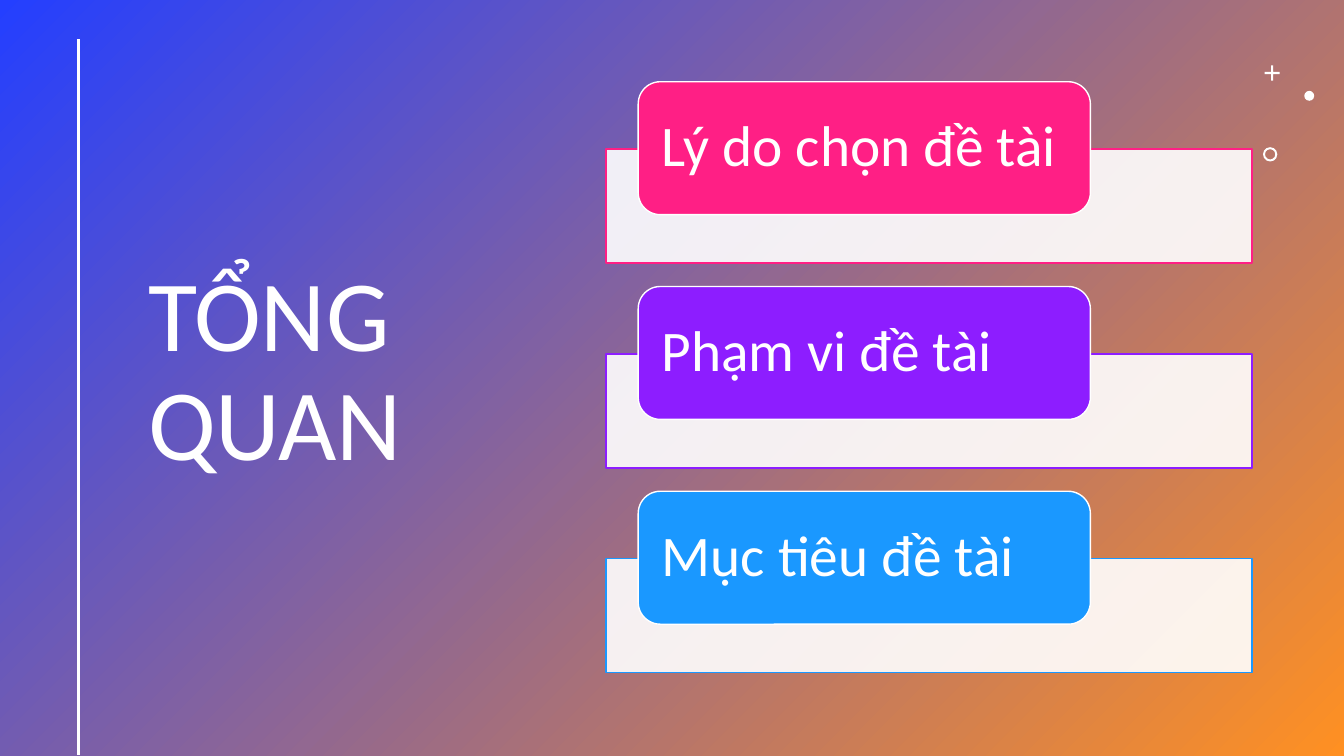
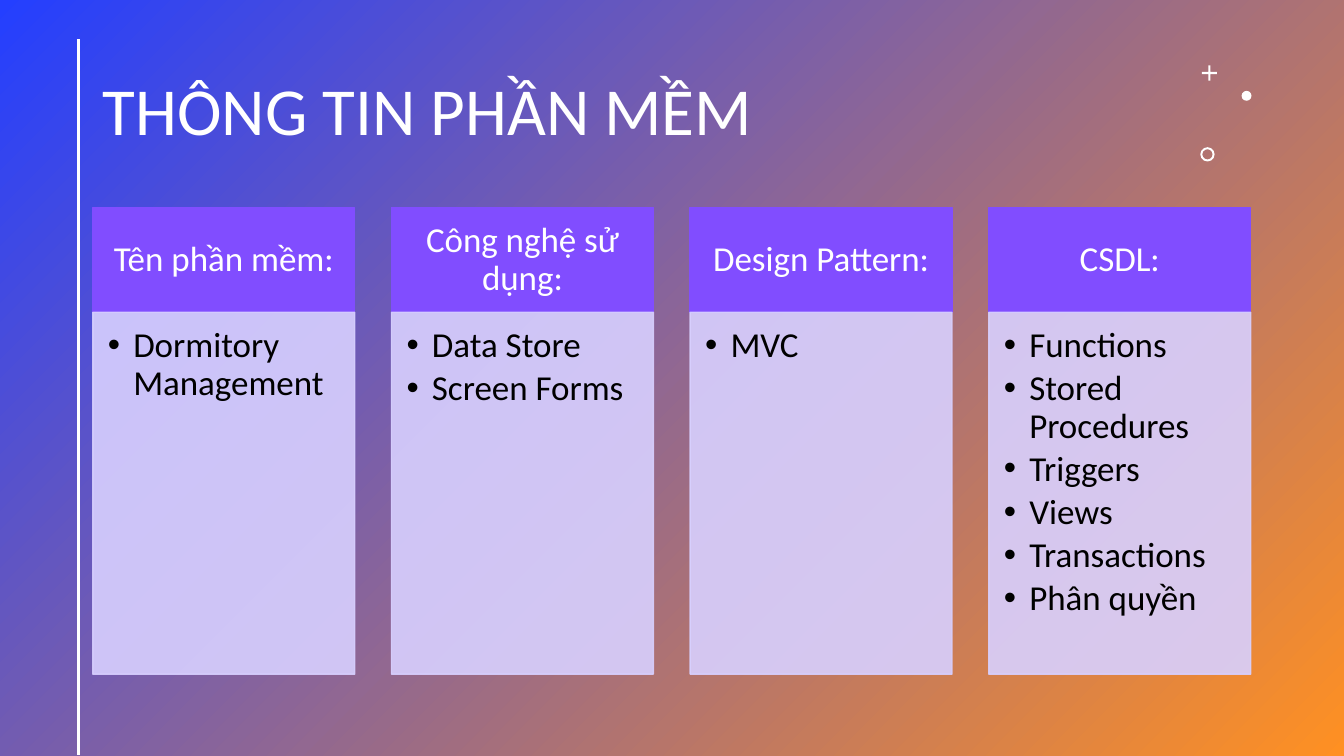
import pptx
import pptx.dml.color
import pptx.enum.shapes
import pptx.enum.text
import pptx.oxml.ns
import pptx.util
from lxml import etree

Cm = pptx.util.Cm
Pt = pptx.util.Pt
qn = pptx.oxml.ns.qn
MSO_SHAPE = pptx.enum.shapes.MSO_SHAPE
PP_ALIGN = pptx.enum.text.PP_ALIGN
MSO_ANCHOR = pptx.enum.text.MSO_ANCHOR

FONT = "Calibri"
WHITE = "FFFFFF"
BLACK = "000000"
BLUE = "243FFF"
ORANGE = "FF9022"
VIOLET = "814DFF"
LILAC = "D8D0FF"

TOPICS = [
    ("Lý do chọn đề tài", "FF1F85"),
    ("Phạm vi đề tài", "8D1DFF"),
    ("Mục tiêu đề tài", "1A98FF"),
]
COLUMNS = [
    ("Tên phần mềm:", ["Dormitory Management"]),
    ("Công nghệ sử dụng:", ["Data Store", "Screen Forms"]),
    ("Design Pattern:", ["MVC"]),
    ("CSDL:", ["Functions", "Stored Procedures", "Triggers", "Views",
               "Transactions", "Phân quyền"]),
]


def rgb(value):
    return pptx.dml.color.RGBColor.from_string(value)


def fade(parent, percent=90):
    color = parent.find(qn("a:solidFill"))[0]
    etree.SubElement(color, qn("a:alpha"), val=str(percent * 1000))


def add_box(s, kind, box, fill, line=None):
    sp = s.shapes.add_shape(kind, *map(Cm, box))
    sp.shadow.inherit = False
    sp.fill.solid()
    sp.fill.fore_color.rgb = rgb(fill)
    if line:
        sp.line.color.rgb = rgb(line)
        sp.line.width = Pt(1)
    else:
        sp.line.fill.background()
    return sp


def set_frame(tf, anchor, insets):
    tf.word_wrap = True
    tf.auto_size = pptx.enum.text.MSO_AUTO_SIZE.NONE
    tf.vertical_anchor = anchor
    tf.margin_left, tf.margin_top, tf.margin_right, tf.margin_bottom = map(Cm, insets)


def add_text(p, text, size, color, align=PP_ALIGN.LEFT):
    p.alignment = align
    p.line_spacing = 0.9
    r = p.add_run()
    r.text = text
    r.font.name = FONT
    r.font.size = Pt(size)
    r.font.color.rgb = rgb(color)


def add_bullet(p):
    pPr = p._p.get_or_add_pPr()
    pPr.set("marL", str(Cm(0.64)))
    pPr.set("indent", str(-Cm(0.64)))
    etree.SubElement(pPr, qn("a:buFont"), typeface="Arial")
    etree.SubElement(pPr, qn("a:buChar"), char="•")


def set_background(master):
    fill = master.background.fill
    fill.gradient()
    fill.gradient_angle = 315
    for stop, color, position in zip(fill.gradient_stops, (BLUE, ORANGE), (0, 1)):
        stop.color.rgb = rgb(color)
        stop.position = position


def add_rule(s):
    line = s.shapes.add_connector(pptx.enum.shapes.MSO_CONNECTOR.STRAIGHT,
                                  Cm(1.98), Cm(0.99), Cm(1.98), Cm(19.02))
    line.line.color.rgb = rgb(WHITE)
    line.line.width = Pt(2)
    etree.SubElement(line._element.spPr, qn("a:effectLst"))


def add_marks(s, x, y):
    plus = add_box(s, MSO_SHAPE.CROSS, (x + 0.04, y, 0.38, 0.38), WHITE)
    plus.adjustments[0] = 0.43
    add_box(s, MSO_SHAPE.OVAL, (x + 1.04, y + 0.64, 0.25, 0.25), WHITE)
    ring = add_box(s, MSO_SHAPE.DONUT, (x, y + 2.06, 0.36, 0.36), WHITE)
    ring.adjustments[0] = 0.14


def add_titled_slide(prs, title, box, size, marks_x):
    s = prs.slides.add_slide(prs.slide_layouts.get_by_name("Title Only"))
    sp = s.shapes.title
    sp.left, sp.top, sp.width, sp.height = map(Cm, box)
    set_frame(sp.text_frame, MSO_ANCHOR.MIDDLE, (0.25, 0.13, 0.25, 0.13))
    add_text(sp.text_frame.paragraphs[0], title, size, WHITE)
    add_rule(s)
    add_marks(s, marks_x, 1.65)
    return s


def add_topic(s, x, y, w, text, color):
    bar = add_box(s, MSO_SHAPE.RECTANGLE, (x, y + 1.7, w, 2.87), WHITE, color)
    fade(bar._element.spPr)
    tab = add_box(s, MSO_SHAPE.ROUNDED_RECTANGLE,
                  (x + w * 0.05, y, w * 0.7, 3.35), color, WHITE)
    set_frame(tab.text_frame, MSO_ANCHOR.MIDDLE, (0.43, 0, 0.43, 0))
    add_text(tab.text_frame.paragraphs[0], text, 41, WHITE)


def add_column(s, x, y, w, h, heading, items):
    head_h = 2.64
    head = add_box(s, MSO_SHAPE.RECTANGLE, (x, y, w, head_h), VIOLET, VIOLET)
    set_frame(head.text_frame, MSO_ANCHOR.MIDDLE, (0.48, 0.28, 0.48, 0.28))
    add_text(head.text_frame.paragraphs[0], heading, 25, WHITE, PP_ALIGN.CENTER)

    panel = add_box(s, MSO_SHAPE.RECTANGLE, (x, y + head_h, w, h - head_h), LILAC, LILAC)
    fade(panel._element.spPr)
    fade(panel._element.spPr.find(qn("a:ln")))
    tf = panel.text_frame
    set_frame(tf, MSO_ANCHOR.TOP, (0.38, 0.38, 0.48, 0.56))
    for i, item in enumerate(items):
        p = tf.add_paragraph() if i else tf.paragraphs[0]
        add_text(p, item, 25, BLACK)
        p.space_after = Pt(3.75)
        add_bullet(p)


def build_overview(prs):
    s = add_titled_slide(prs, "TỔNG QUAN", (3.48, 1.65, 10.95, 15.52), 72, 31.83)
    for i, (text, color) in enumerate(TOPICS):
        add_topic(s, 15.27, 2.06 + i * 5.16, 16.28, text, color)


def build_software(prs):
    s = add_titled_slide(prs, "THÔNG TIN PHẦN MỀM", (2.34, 1.02, 27.23, 3.68), 48, 30.25)
    x, w, col_w = 2.34, 29.18, 6.6
    pitch = (w - col_w) / (len(COLUMNS) - 1)
    for i, (heading, items) in enumerate(COLUMNS):
        add_column(s, x + i * pitch, 5.23, col_w, 11.76, heading, items)


def main():
    prs = pptx.Presentation()
    prs.slide_width, prs.slide_height = Cm(33.87), Cm(19.05)
    set_background(prs.slide_master)
    build_overview(prs)
    build_software(prs)
    prs.save("out.pptx")


if __name__ == "__main__":
    main()
